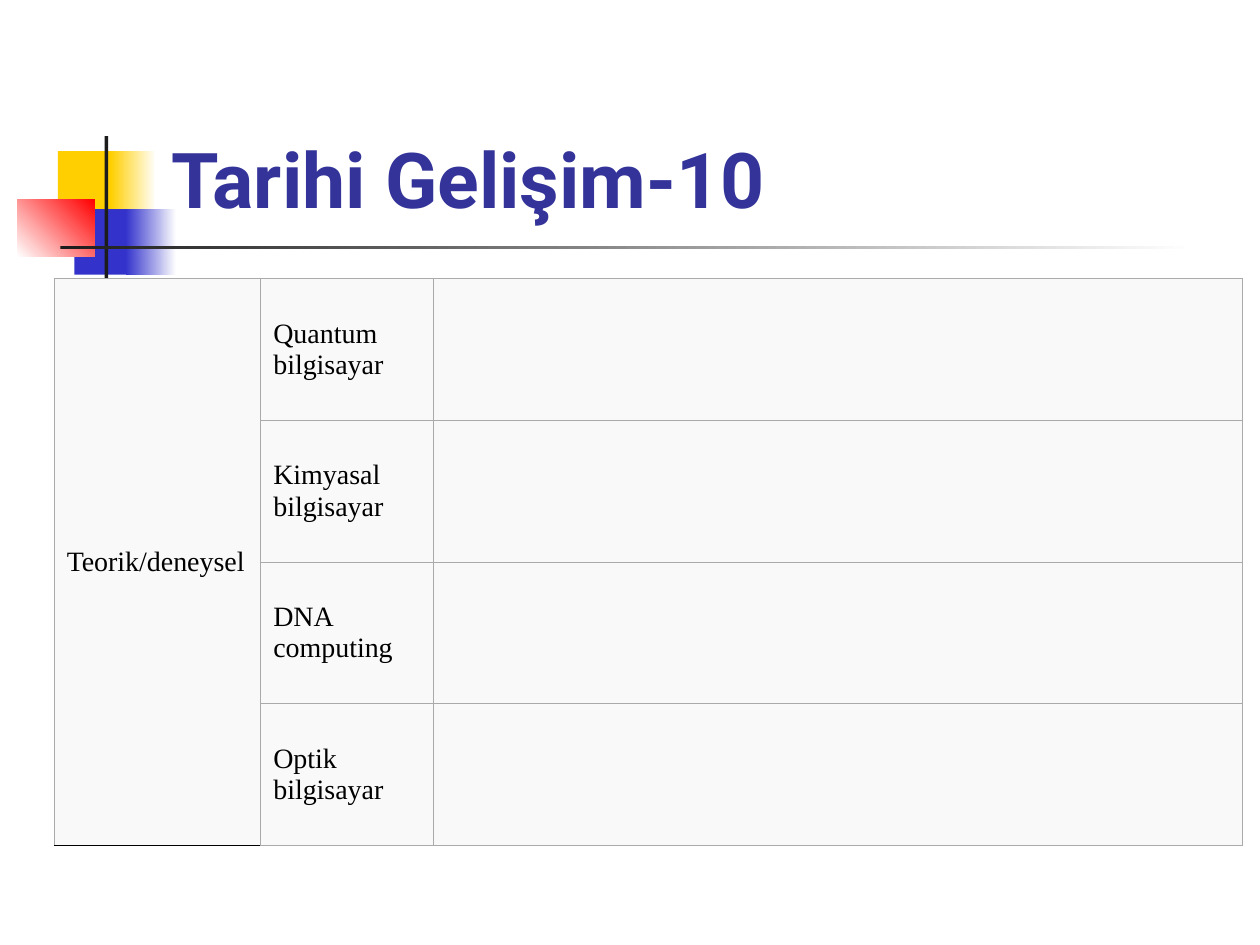
from pptx import Presentation
from pptx.dml.color import RGBColor
from pptx.enum.shapes import MSO_SHAPE
from pptx.enum.text import MSO_ANCHOR, MSO_AUTO_SIZE, PP_ALIGN
from pptx.oxml import parse_xml
from pptx.oxml.ns import nsdecls
from pptx.util import Inches, Pt

COLORS = {
    "yellow": "FFCF01",
    "blue": "3333CC",
    "red": "FF0000",
    "dark": "1C1C1C",
    "white": "FFFFFF",
    "title": "333399",
    "text": "000000",
    "cell": "F9F9F9",
    "border": "AAAAAA",
}
DECORATIONS = [
    ((0.46, 1.2, 0.48, 0.52), ["yellow"], 0),
    ((0.88, 1.2, 0.36, 0.52), ["yellow", "white"], 0),
    ((0.59, 1.66, 0.46, 0.52), ["blue"], 0),
    ((1, 1.66, 0.4, 0.52), ["blue", "white"], 0),
    ((0.14, 1.58, 0.61, 0.46), ["white", "red"], 45),
    ((0.83, 1.08, 0.03, 1.15), ["dark"], 0),
    ((0.48, 1.95, 9, 0.03), ["dark", "white"], 0),
]
CATEGORY = "Teorik/deneysel"
COMPUTERS = ["Quantum bilgisayar", "Kimyasal bilgisayar", "DNA computing", "Optik bilgisayar"]
COLUMN_WIDTHS = [1.64, 1.37, 6.42]
TABLE_HEIGHT = 4.5


def color(name):
    """Return the named colour."""
    return RGBColor.from_string(COLORS[name])


def add_block(slide, box, names, angle):
    """Add a rectangle with a solid or two-colour gradient fill."""
    shape = slide.shapes.add_shape(MSO_SHAPE.RECTANGLE, *map(Inches, box))
    shape.shadow.inherit = False
    shape.line.fill.background()
    if len(names) == 1:
        shape.fill.solid()
        shape.fill.fore_color.rgb = color(names[0])
        return
    shape.fill.gradient()
    shape.fill.gradient_angle = angle
    for stop, name in zip(shape.fill.gradient_stops, names):
        stop.color.rgb = color(name)


def format_runs(text_frame, font_name, size, color_name, bold=False):
    """Format every run of a text frame."""
    for paragraph in text_frame.paragraphs:
        paragraph.alignment = PP_ALIGN.LEFT
        for run in paragraph.runs:
            run.font.name = font_name
            run.font.size = Pt(size)
            run.font.bold = bold
            run.font.color.rgb = color(color_name)


def set_title(slide, text):
    """Place and format the title placeholder."""
    title = slide.shapes.title
    title.left, title.top, title.width, title.height = map(Inches, (1.26, 0.23, 8.52, 1.6))
    text_frame = title.text_frame
    text_frame.text = text
    text_frame.auto_size = MSO_AUTO_SIZE.NONE
    text_frame.vertical_anchor = MSO_ANCHOR.BOTTOM
    format_runs(text_frame, "Roboto", 44, "title", bold=True)


def style_cell(cell, bottom=("border", 0.45)):
    """Give a cell its borders, fill and text format."""
    properties = cell._tc.get_or_add_tcPr()
    thin = ("border", 0.45)
    for side, (name, width) in zip("LRTB", (thin, thin, thin, bottom)):
        properties.append(parse_xml(
            f'<a:ln{side} {nsdecls("a")} w="{Pt(width)}"><a:solidFill>'
            f'<a:srgbClr val="{COLORS[name]}"/></a:solidFill></a:ln{side}>'))
    cell.fill.solid()
    cell.fill.fore_color.rgb = color("cell")
    cell.vertical_anchor = MSO_ANCHOR.MIDDLE
    format_runs(cell.text_frame, "Times New Roman", 16, "text")


def add_computer_table(slide):
    """Add the table of computer types under one merged category."""
    row_count = len(COMPUTERS)
    box = map(Inches, (0.43, 2.21, sum(COLUMN_WIDTHS), TABLE_HEIGHT))
    table = slide.shapes.add_table(row_count, len(COLUMN_WIDTHS), *box).table
    table.first_row = table.horz_banding = False
    for column, width in zip(table.columns, COLUMN_WIDTHS):
        column.width = Inches(width)
    table.cell(0, 0).text_frame.text = CATEGORY
    for index, computer in enumerate(COMPUTERS):
        table.rows[index].height = Inches(TABLE_HEIGHT / row_count)
        table.cell(index, 1).text_frame.text = computer
        style_cell(table.cell(index, 0), bottom=("text", 1.08))
        style_cell(table.cell(index, 1))
        style_cell(table.cell(index, 2))
    table.cell(0, 0).merge(table.cell(row_count - 1, 0))


def main():
    """Build and save the slide."""
    presentation = Presentation()
    presentation.slide_width = Inches(10)
    presentation.slide_height = Inches(7.5)
    slide = presentation.slides.add_slide(presentation.slide_layouts[5])
    for box, names, angle in DECORATIONS:
        add_block(slide, box, names, angle)
    set_title(slide, "Tarihi Gelişim-10")
    add_computer_table(slide)
    presentation.save("out.pptx")


if __name__ == "__main__":
    main()
